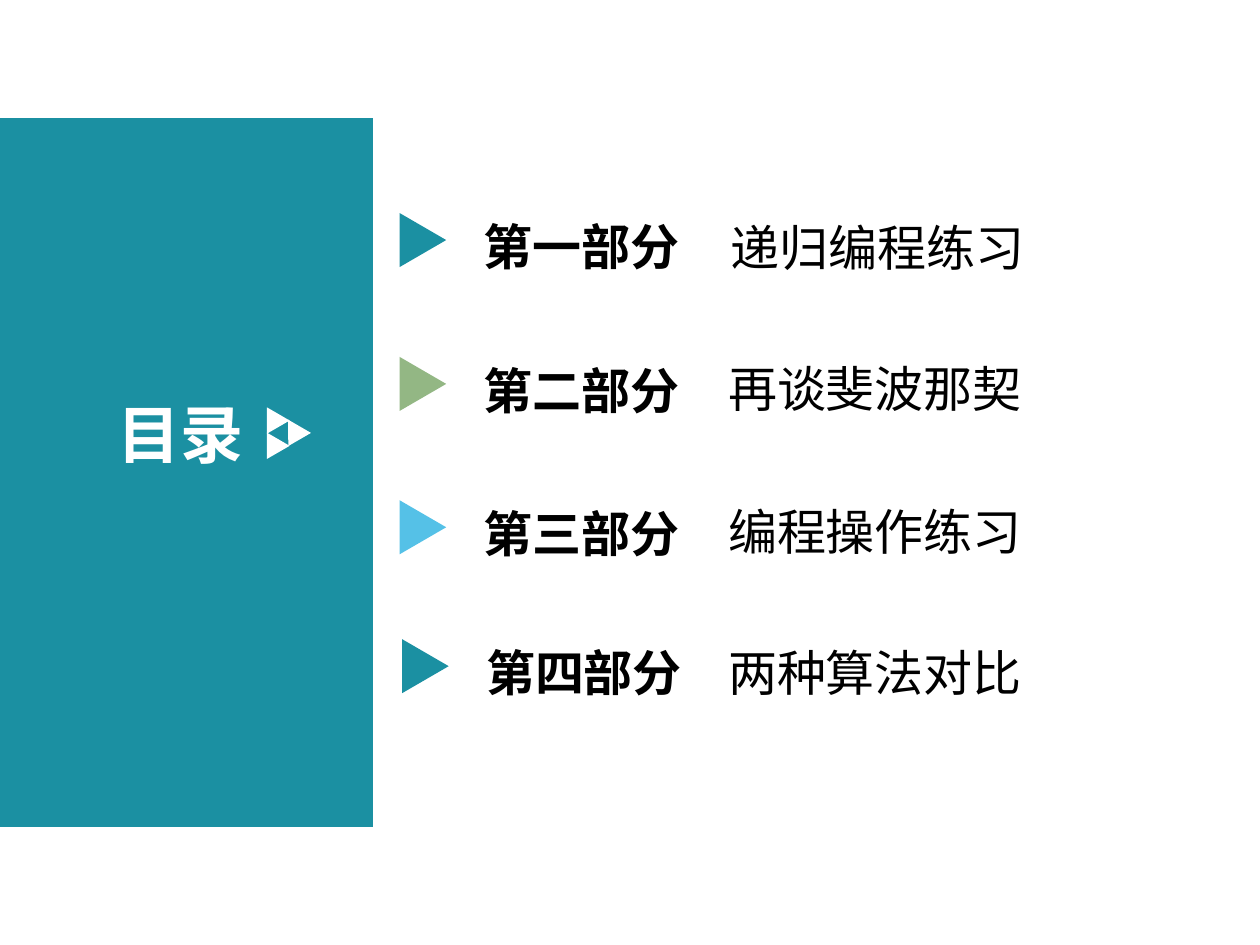
from pptx import Presentation
from pptx.dml.color import RGBColor
from pptx.enum.shapes import MSO_SHAPE
from pptx.enum.text import MSO_ANCHOR, MSO_AUTO_SIZE, PP_ALIGN
from pptx.oxml.ns import qn
from pptx.util import Cm, Pt
from lxml.etree import SubElement

TEAL = RGBColor(0x1B, 0x90, 0xA2)
GREEN = RGBColor(0x93, 0xB7, 0x84)
SKY = RGBColor(0x55, 0xC1, 0xE7)
WHITE = RGBColor(0xFF, 0xFF, 0xFF)
BLACK = RGBColor(0, 0, 0)
FONT = "Noto Sans CJK SC"

TITLE = "目录"
# part, its (left, top, width); topic, its (left, top, width); marker colour; in cm
SECTIONS = [
    ("第一部分", (9.5, 4.24, 4.8), "递归编程练习", (14.48, 4.27, 9.25), TEAL),
    ("第二部分", (9.5, 7.14, 5.13), "再谈斐波那契", (14.43, 7.11, 9.25), GREEN),
    ("第三部分", (9.5, 10.03, 5.79), "编程操作练习", (14.43, 9.98, 9.25), SKY),
    ("第四部分", (9.55, 12.83, 6.32), "两种算法对比", (14.43, 12.83, 10.24), TEAL),
]
ROW_HEIGHT = 1.45
MARKER_SIZE = (1.09, 0.94)
MARKER_OFFSET = (-1.52, 0.13)  # from the corner of the part label
ARROW_SIZE = (0.53, 0.46)
ARROW_CORNERS = [(5.23, 8.18), (5.23, 8.69), (5.66, 8.43)]


def place(shape, left, top, width, height):
    shape.left, shape.top = Cm(left), Cm(top)
    shape.width, shape.height = Cm(width), Cm(height)


def write(box, text, size=28, color=BLACK, bold=False):
    frame = box.text_frame
    frame.word_wrap = True
    frame.auto_size = MSO_AUTO_SIZE.NONE
    frame.vertical_anchor = MSO_ANCHOR.TOP
    para = frame.paragraphs[0]
    para.alignment = PP_ALIGN.LEFT
    span = para.add_run()
    span.text = text
    span.font.size = Pt(size)
    span.font.bold = bold
    span.font.color.rgb = color
    span.font.name = FONT
    east_asian = SubElement(span.font._element, qn("a:ea"))
    east_asian.set("typeface", FONT)


def add_filled(shapes, kind, corner, size, color, rotation=0):
    shape = shapes.add_shape(kind, *(Cm(value) for value in (*corner, *size)))
    shape.fill.solid()
    shape.fill.fore_color.rgb = color
    shape.line.fill.background()
    shape.shadow.inherit = False
    shape.rotation = rotation


def add_label(page, text, left, top, width, **style):
    box = page.shapes.add_textbox(Cm(left), Cm(top), Cm(width), Cm(ROW_HEIGHT))
    write(box, text, **style)


def main():
    deck = Presentation()
    deck.slide_width, deck.slide_height = Cm(25.4), Cm(19.05)
    page = deck.slides.add_slide(deck.slide_layouts[5])

    add_filled(page.shapes, MSO_SHAPE.RECTANGLE, (0, 2.38), (7.52, 14.29), TEAL)
    title = page.shapes.title
    page.shapes._spTree.append(title._element)  # bring in front of the panel
    place(title, 2.11, 7.85, 3.33, 1.78)
    write(title, TITLE, size=36, color=WHITE, bold=True)

    arrow = page.shapes.add_group_shape()
    for corner in ARROW_CORNERS:
        add_filled(arrow.shapes, MSO_SHAPE.ISOSCELES_TRIANGLE, corner,
                   ARROW_SIZE, WHITE, rotation=330)

    for part, part_place, topic, topic_place, color in SECTIONS:
        corner = [start + shift for start, shift in zip(part_place, MARKER_OFFSET)]
        add_filled(page.shapes, MSO_SHAPE.ISOSCELES_TRIANGLE, corner,
                   MARKER_SIZE, color, rotation=90)
        add_label(page, part, *part_place, bold=True)
        add_label(page, topic, *topic_place)

    deck.save("out.pptx")


if __name__ == "__main__":
    main()
